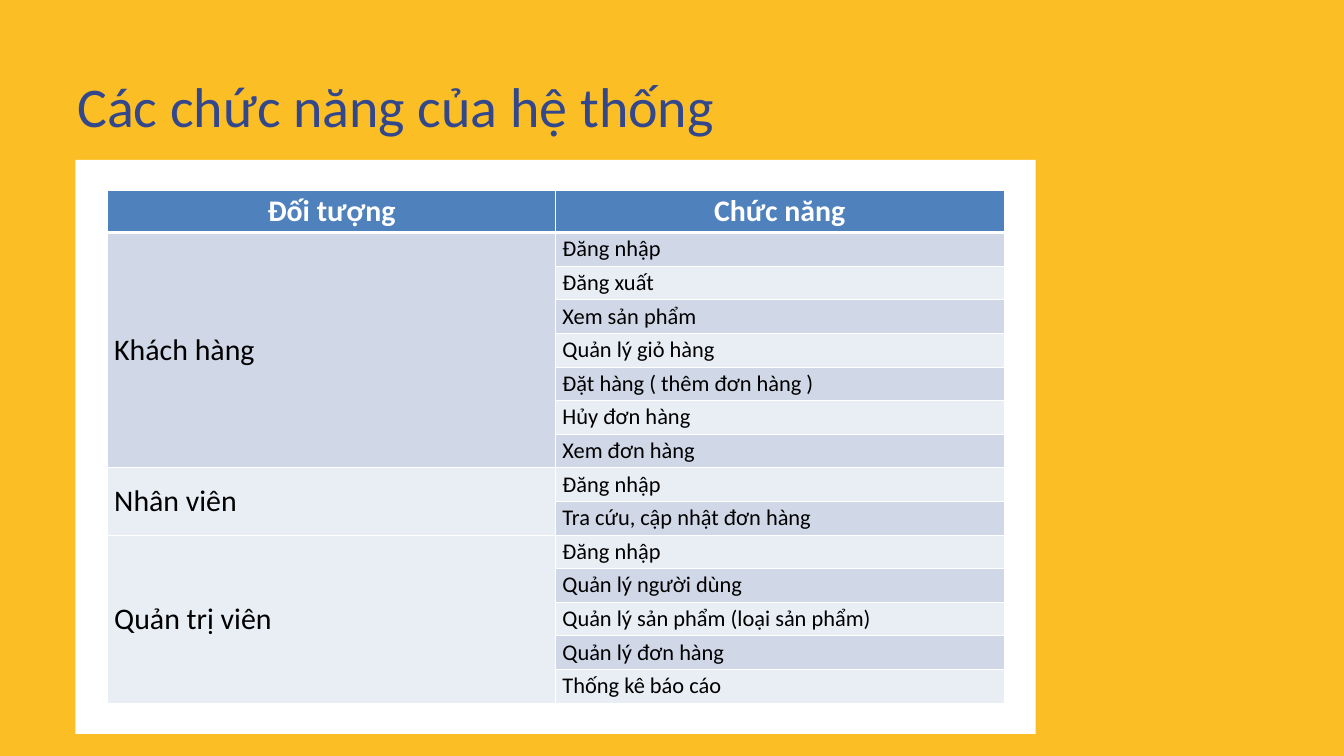
import pptx
import pptx.dml.color
import pptx.enum.shapes
import pptx.enum.text
import pptx.oxml
import pptx.oxml.ns
import pptx.util
from pptx.dml.color import RGBColor

Inches = pptx.util.Inches
Pt = pptx.util.Pt
Align = pptx.enum.text.PP_ALIGN
Anchor = pptx.enum.text.MSO_ANCHOR

AMBER = RGBColor(0xFB, 0xBE, 0x25)
WHITE = RGBColor(0xFF, 0xFF, 0xFF)
BLACK = RGBColor(0, 0, 0)
NAVY = RGBColor(0x32, 0x47, 0x8C)
HEADER_BLUE = RGBColor(0x4F, 0x81, 0xBD)
BANDS = (RGBColor(0xD0, 0xD8, 0xE8), RGBColor(0xE9, 0xED, 0xF4))

FONT = "Calibri"
WIDTH, HEIGHT = Inches(20), Inches(11.25)
COLUMN_WIDTH = Inches(6.67)
HEADER_HEIGHT, ROW_HEIGHT = Inches(0.63), Inches(0.5)

HEADINGS = ("Đối tượng", "Chức năng")
FUNCTIONS_BY_ROLE = {
    "Khách hàng": (
        "Đăng nhập", "Đăng xuất", "Xem sản phẩm", "Quản lý giỏ hàng",
        "Đặt hàng ( thêm đơn hàng )", "Hủy đơn hàng", "Xem đơn hàng",
    ),
    "Nhân viên": ("Đăng nhập", "Tra cứu, cập nhật đơn hàng"),
    "Quản trị viên": (
        "Đăng nhập", "Quản lý người dùng", "Quản lý sản phẩm (loại sản phẩm)",
        "Quản lý đơn hàng", "Thống kê báo cáo",
    ),
}


def add_run(paragraph, text, size, color, bold=False):
    run = paragraph.add_run()
    run.text = text
    run.font.name = FONT
    run.font.size = Pt(size)
    run.font.bold = bold
    run.font.color.rgb = color


def add_panel(slide):
    panel = slide.shapes.add_shape(
        pptx.enum.shapes.MSO_SHAPE.RECTANGLE,
        Inches(1.12), Inches(2.38), Inches(14.29), Inches(8.54))
    panel.shadow.inherit = False
    panel.fill.solid()
    panel.fill.fore_color.rgb = WHITE
    panel.line.fill.background()


def set_title(slide, text):
    title = slide.shapes.title
    title.left, title.top = Inches(1.15), Inches(0.85)
    title.width, title.height = Inches(18.54), Inches(1.17)
    frame = title.text_frame
    frame.margin_left = frame.margin_right = 0
    frame.margin_top = frame.margin_bottom = 0
    frame.vertical_anchor = Anchor.TOP
    frame.auto_size = pptx.enum.text.MSO_AUTO_SIZE.SHAPE_TO_FIT_TEXT
    frame.word_wrap = True
    paragraph = frame.paragraphs[0]
    paragraph.alignment = Align.LEFT
    paragraph.line_spacing = Pt(87.2)
    add_run(paragraph, text, 60, NAVY)


def set_borders(cell, bottom):
    """Draw white lines, 1 pt wide except for the bottom one."""
    properties = cell._tc.get_or_add_tcPr()
    widths = {"lnL": 1, "lnR": 1, "lnT": 1, "lnB": bottom}
    for position, (side, width) in enumerate(widths.items()):
        line = pptx.oxml.parse_xml(
            f'<a:{side} {pptx.oxml.ns.nsdecls("a")} w="{Pt(width)}">'
            f'<a:solidFill><a:srgbClr val="{WHITE}"/></a:solidFill></a:{side}>')
        properties.insert(position, line)


def style_cell(cell, fill, bottom=1):
    cell.fill.solid()
    cell.fill.fore_color.rgb = fill
    cell.margin_top = cell.margin_bottom = Inches(0.04)
    cell.vertical_anchor = Anchor.MIDDLE
    set_borders(cell, bottom)


def add_function_table(slide):
    row_count = sum(len(names) for names in FUNCTIONS_BY_ROLE.values())
    table = slide.shapes.add_table(
        row_count + 1, 2, Inches(1.6), Inches(2.83),
        2 * COLUMN_WIDTH, HEADER_HEIGHT + row_count * ROW_HEIGHT).table
    for row in table.rows:
        row.height = ROW_HEIGHT
    table.rows[0].height = HEADER_HEIGHT

    for column, heading in enumerate(HEADINGS):
        cell = table.cell(0, column)
        style_cell(cell, HEADER_BLUE, bottom=3)
        paragraph = cell.text_frame.paragraphs[0]
        paragraph.alignment = Align.CENTER
        add_run(paragraph, heading, 32, WHITE, bold=True)

    first = 1
    for role, names in FUNCTIONS_BY_ROLE.items():
        for row, name in enumerate(names, first):
            band = BANDS[(row - 1) % 2]
            style_cell(table.cell(row, 0), BANDS[(first - 1) % 2])
            style_cell(table.cell(row, 1), band)
            add_run(table.cell(row, 1).text_frame.paragraphs[0], name, 24, BLACK)
        role_cell = table.cell(first, 0)
        role_cell.merge(table.cell(first + len(names) - 1, 0))
        add_run(role_cell.text_frame.paragraphs[0], role, 32, BLACK)
        first += len(names)


def main():
    deck = pptx.Presentation()
    deck.slide_width, deck.slide_height = WIDTH, HEIGHT
    slide = deck.slides.add_slide(deck.slide_layouts.get_by_name("Title Only"))
    slide.background.fill.solid()
    slide.background.fill.fore_color.rgb = AMBER
    add_panel(slide)
    set_title(slide, "Các chức năng của hệ thống")
    add_function_table(slide)
    deck.save("out.pptx")


if __name__ == "__main__":
    main()
